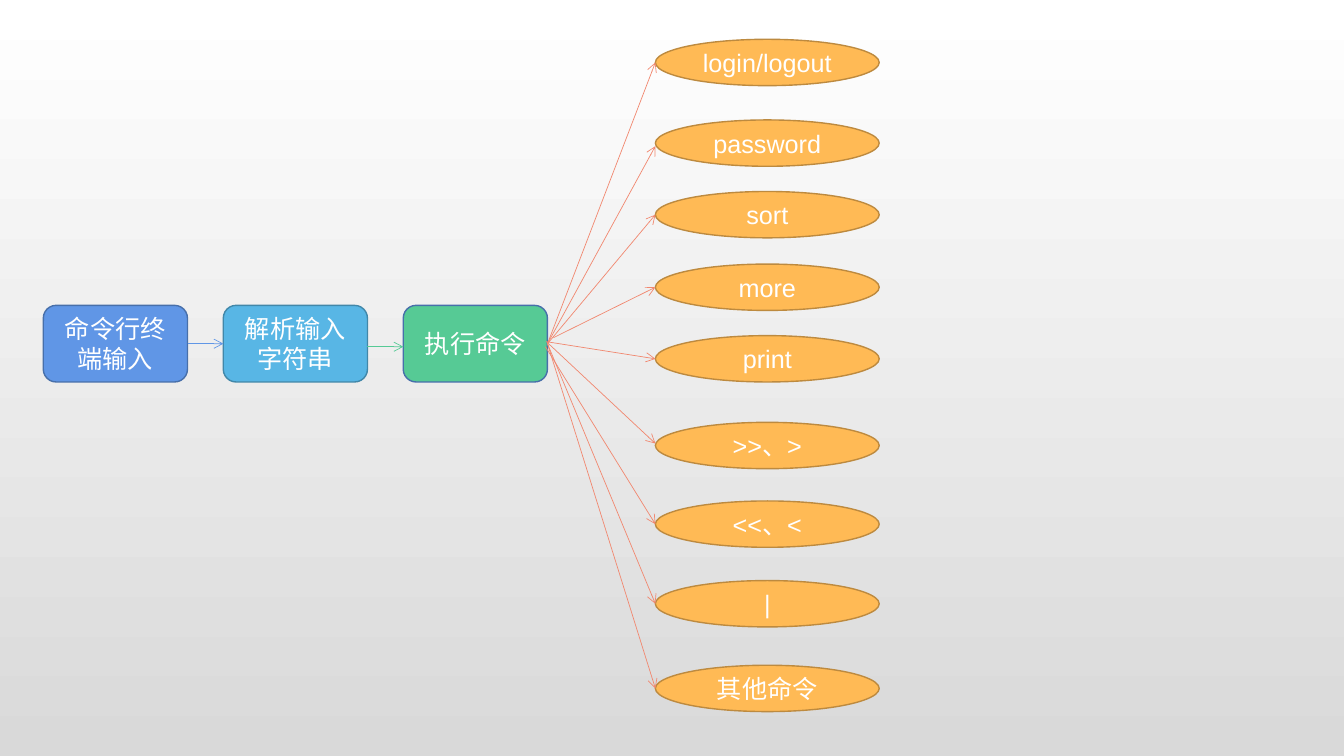
import dataclasses

import lxml.etree
import pptx
import pptx.dml.color
import pptx.enum.shapes
import pptx.enum.text
import pptx.oxml.ns
import pptx.util

Inches = pptx.util.Inches
SHAPES = pptx.enum.shapes.MSO_SHAPE


@dataclasses.dataclass(frozen=True)
class Theme:
    """Hold the colours, font and sizes of the slide."""
    font: str = "Arial"
    size: int = 18
    text: str = "FFFFFF"
    top: str = "FFFFFF"
    base: str = "D9D9D9"
    blue: str = "6096E6"
    navy: str = "476FAA"
    sky: str = "58B6E5"
    teal: str = "4187A9"
    green: str = "56CA95"
    amber: str = "FFBA55"
    brown: str = "BD8A3F"
    coral: str = "F18870"
    edge: float = 1
    thin: float = 0.5


THEME = Theme()

COMMANDS = [
    ("login/logout", 0.39, (0.02, 0.38), 0.23),
    ("password", 1.19, (0.02, 0.38), 0.26),
    ("sort", 1.9, (0.02, 0.38), 0.23),
    ("more", 2.62, (0.08, 0.32), 0.23),
    ("print", 3.33, (0.01, 0.36), 0.23),
    (">>、>", 4.19, (0.01, 0.36), 0.21),
    ("<<、<", 4.97, (0, 0.41), 0.23),
    ("|", 5.76, (0.02, 0.38), 0.23),
    ("其他命令", 6.6, (0.02, 0.38), 0.23),
]

STEPS = [
    ("命令行终端输入", THEME.blue, THEME.navy),
    ("解析输入字符串", THEME.sky, THEME.teal),
    ("执行命令", THEME.green, THEME.navy),
]


def tint(code):
    """Turn a hex code into a colour."""
    return pptx.dml.color.RGBColor.from_string(code)


def node(slide, kind, box, label, fill, edge):
    """Draw a filled shape with a centred label."""
    shape = slide.shapes.add_shape(kind, *map(Inches, box))
    shape.shadow.inherit = False
    shape.fill.solid()
    shape.fill.fore_color.rgb = tint(fill)
    shape.line.color.rgb = tint(edge)
    shape.line.width = pptx.util.Pt(THEME.edge)
    frame = shape.text_frame
    frame.word_wrap = True
    frame.vertical_anchor = pptx.enum.text.MSO_ANCHOR.MIDDLE
    frame.text = label
    para = frame.paragraphs[0]
    para.alignment = pptx.enum.text.PP_ALIGN.CENTER
    font = para.runs[0].font
    font.name = THEME.font
    font.size = pptx.util.Pt(THEME.size)
    font.color.rgb = tint(THEME.text)


def arrow(slide, start, end, colour):
    """Draw a thin line with an open arrowhead at its end."""
    link = slide.shapes.add_connector(
        pptx.enum.shapes.MSO_CONNECTOR.STRAIGHT, *map(Inches, start + end))
    link.line.color.rgb = tint(colour)
    link.line.width = pptx.util.Pt(THEME.thin)
    name = pptx.oxml.ns.qn
    lxml.etree.SubElement(link.line._get_or_add_ln(), name("a:tailEnd"), type="arrow")
    lxml.etree.SubElement(link._element.spPr, name("a:effectLst"))


def paint(slide):
    """Fill the background from top to bottom."""
    fill = slide.background.fill
    fill.gradient()
    fill.gradient_angle = 270
    for stop, code in zip(fill.gradient_stops, (THEME.top, THEME.base)):
        stop.color.rgb = tint(code)


def flow(slide, box):
    """Draw the row of steps and the arrows between them."""
    left, top, width, height = box
    wide = 1.43
    pitch = (width - wide) / (len(STEPS) - 1)
    for index, (label, fill, edge) in enumerate(STEPS):
        node(slide, SHAPES.FLOWCHART_ALTERNATE_PROCESS,
             (left + index * pitch, top, wide, height), label, fill, edge)
    for index, (colour, drop) in enumerate([(THEME.blue, 0.38), (THEME.green, 0.41)]):
        x = left + index * pitch
        arrow(slide, (x + wide, top + drop), (x + pitch, top + drop), colour)


def fan(slide, box, hub):
    """Draw the column of commands and the arrows that reach them."""
    left, top, width, height = box
    for label, y, (right, down), drop in COMMANDS:
        node(slide, SHAPES.FLOWCHART_CONNECTOR, (left, top + y, width, height),
             label, THEME.amber, THEME.brown)
        arrow(slide, (hub[0] + right, hub[1] + down), (left, top + y + drop), THEME.coral)


def main():
    """Build the slide and save it."""
    deck = pptx.Presentation()
    deck.slide_width, deck.slide_height = Inches(13.33), Inches(7.5)
    slide = deck.slides.add_slide(deck.slide_layouts[6])
    paint(slide)
    flow(slide, (0.43, 3.03, 5, 0.76))
    fan(slide, (6.5, 0, 2.22, 0.46), (5.41, 3.03))
    deck.save("out.pptx")


main()
